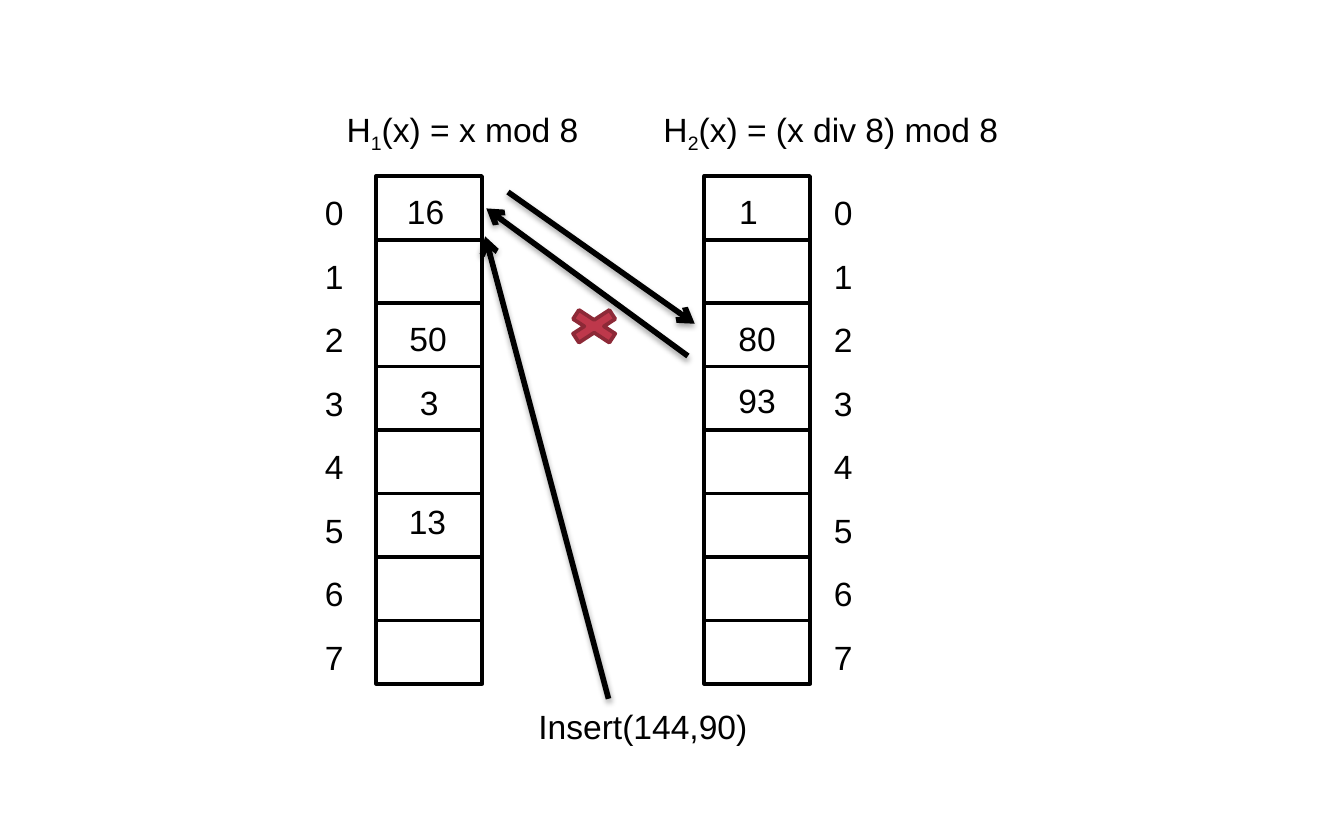
from dataclasses import dataclass

from lxml import etree
from pptx import Presentation
from pptx.dml.color import RGBColor
from pptx.enum import shapes, text
from pptx.oxml.ns import qn
from pptx.util import Cm, Pt

LEFT, CENTER = text.PP_ALIGN.LEFT, text.PP_ALIGN.CENTER


@dataclass(frozen=True)
class Theme:
    """Colours and type sizes of the slide."""
    ink: str = "000000"
    paper: str = "FFFFFF"
    cross_fill: str = "BE384B"
    cross_line: str = "8D2937"
    font: str = "Arial"
    body: float = 18
    rule: float = 2
    arrow: float = 3


@dataclass(frozen=True)
class Entry:
    """A key in one row of a hash table, offset from that row's corner."""
    row: int
    key: str
    dx: float = 0.2
    dy: float = 0.16
    align: int = CENTER


THEME = Theme()
ROWS, ROW_HEIGHT, TABLE_WIDTH = 8, 1.2, 2.0
LABEL_HEIGHT = 1.02


def style_line(line, color, width):
    """Set the colour and the width of a line."""
    line.color.rgb = RGBColor.from_string(color)
    line.width = Pt(width)


def add_label(slide, x, y, width, runs, align=LEFT):
    """Write (wording, baseline) runs in a text box."""
    label = slide.shapes.add_textbox(Cm(x), Cm(y), Cm(width), Cm(LABEL_HEIGHT))
    frame = label.text_frame
    frame.word_wrap = True
    frame.auto_size = text.MSO_AUTO_SIZE.SHAPE_TO_FIT_TEXT
    paragraph = frame.paragraphs[0]
    paragraph.alignment = align
    for wording, baseline in runs:
        run = paragraph.add_run()
        run.text = wording
        run.font.name = THEME.font
        run.font.size = Pt(THEME.body)
        run.font.color.rgb = RGBColor.from_string(THEME.ink)
        if baseline:
            run._r.get_or_add_rPr().set("baseline", str(baseline * 1000))


def add_shape(slide, kind, box, fill, line):
    """Draw a filled preset shape without a shadow."""
    shape = slide.shapes.add_shape(kind, *(Cm(length) for length in box))
    shape.shadow.inherit = False
    shape.fill.solid()
    shape.fill.fore_color.rgb = RGBColor.from_string(fill)
    style_line(shape.line, line, THEME.rule)


def add_line(slide, start, end, width):
    """Draw a straight line and return it with its empty effect list."""
    line = slide.shapes.add_connector(
        shapes.MSO_CONNECTOR.STRAIGHT, *(Cm(length) for length in start + end))
    style_line(line.line, THEME.ink, width)
    effects = etree.SubElement(line._element.spPr, qn("a:effectLst"))
    return line, effects


def add_arrow(slide, start, end):
    """Draw a thick arrow with a soft shadow below it."""
    arrow, effects = add_line(slide, start, end, THEME.arrow)
    outline = arrow._element.spPr.find(qn("a:ln"))
    etree.SubElement(outline, qn("a:tailEnd"), type="arrow")
    shadow = etree.SubElement(effects, qn("a:outerShdw"), blurRad="40000",
                              dist="23000", dir="5400000", rotWithShape="0")
    color = etree.SubElement(shadow, qn("a:srgbClr"), val=THEME.ink)
    etree.SubElement(color, qn("a:alpha"), val="35000")


def add_hash_table(slide, x, y, index_dx, entries):
    """Draw a hash table at (x, y) with its row numbers and keys."""
    add_shape(slide, shapes.MSO_SHAPE.RECTANGLE,
              (x, y, TABLE_WIDTH, ROWS * ROW_HEIGHT), THEME.paper, THEME.ink)
    for row in range(ROWS):
        top = y + row * ROW_HEIGHT
        if row:
            add_line(slide, (x, top), (x + TABLE_WIDTH, top), THEME.rule)
        add_label(slide, x + index_dx, top + 0.18, 0.91, [(str(row), 0)])
    for entry in entries:
        add_label(slide, x + entry.dx, y + entry.row * ROW_HEIGHT + entry.dy,
                  1.6, [(entry.key, 0)], entry.align)


def add_hash_function(slide, x, y, width, number, formula):
    """Write the definition of a numbered hash function."""
    add_label(slide, x, y, width, [("H", 0), (number, -25), (formula, 0)])


def add_insertion(slide, x, y):
    """Draw the insertion, its chain of moves and the cross, from (x, y)."""
    add_label(slide, x, y + 9.9, 6.68, [("Insert(144,90)", 0)], CENTER)
    moves = [((2.69, 9.88), (0.36, 1.14)),
             ((0.79, 0.3), (4.32, 2.79)),
             ((4.19, 3.4), (0.38, 0.61))]
    for start, end in moves:
        add_arrow(slide, (x + start[0], y + start[1]), (x + end[0], y + end[1]))
    add_shape(slide, shapes.MSO_SHAPE.MATH_MULTIPLY,
              (x + 1.76, y + 2.41, 1.32, 0.86), THEME.cross_fill, THEME.cross_line)


def main():
    """Build and save the slide."""
    deck = Presentation()
    deck.slide_width, deck.slide_height = Cm(25.4), Cm(15.88)
    slide = deck.slides.add_slide(deck.slide_layouts[6])
    table_top, heading_top = 3.33, 1.93

    add_hash_table(slide, 7.11, table_top, -1.22, [
        Entry(0, "16", dx=0.33, dy=0.15, align=LEFT),
        Entry(2, "50", dx=0.38, align=LEFT),
        Entry(3, "3"),
        Entry(5, "13", dx=0.17, dy=0.02)])
    add_hash_table(slide, 13.31, table_top, 2.2, [
        Entry(0, "1", dx=0.41, dy=0.15, align=LEFT),
        Entry(2, "80"),
        Entry(3, "93", dy=0.13)])
    add_hash_function(slide, 6.3, heading_top, 5.21, "1", "(x) = x mod 8")
    add_hash_function(slide, 12.29, heading_top, 7.19, "2", "(x) = (x div 8) mod 8")
    add_insertion(slide, 8.81, table_top)
    deck.save("out.pptx")


main()
